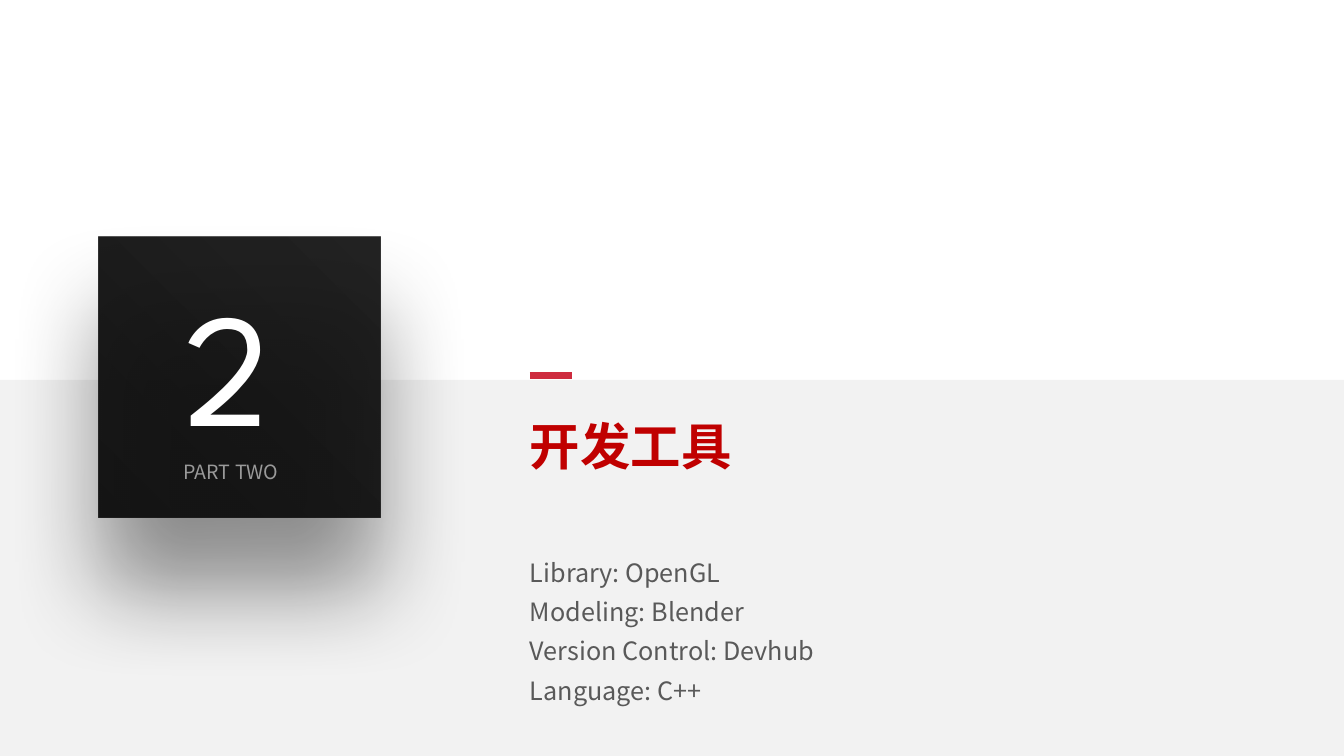
from lxml import etree
from pptx import Presentation, util as u
from pptx.dml.color import RGBColor
from pptx.enum import shapes, text
from pptx.oxml.ns import qn

COLORS = {
    "band": "F2F2F2",
    "title": "C00000",
    "body": "595959",
    "tile": "111111",
    "accent": "CE2B3E",
    "white": "FFFFFF",
    "shadow": "000000",
}
SANS = "Noto Sans CJK SC"
DISPLAY = "League Spartan"
WIDTH, HEIGHT = 1344, 756
EMU_PER_PX = 914400 / 100.8


def px(length):
    return u.Emu(round(length * EMU_PER_PX))


def rgb(name):
    return RGBColor.from_string(COLORS[name])


def set_alpha(parent, percent):
    """Give the first RGB colour below parent an opacity."""
    color = next(parent.iter(qn("a:srgbClr")))
    etree.SubElement(color, qn("a:alpha"), val=str(percent * 1000))


def add_text(slide, box, lines, *, size, color, font=SANS, bold=False,
             align=text.PP_ALIGN.LEFT, spacing=None, wrap=True, alpha=None):
    frame = slide.shapes.add_textbox(*map(px, box)).text_frame
    frame.word_wrap = wrap
    frame.auto_size = text.MSO_AUTO_SIZE.SHAPE_TO_FIT_TEXT
    for index, line in enumerate(lines):
        paragraph = frame.paragraphs[0] if index == 0 else frame.add_paragraph()
        paragraph.alignment = align
        paragraph.line_spacing = spacing
        run = paragraph.add_run()
        run.text = line
        run.font.size = u.Pt(size)
        run.font.bold = bold
        run.font.name = font
        run.font.color.rgb = rgb(color)
        properties = run.font._element
        etree.SubElement(properties, qn("a:ea"), typeface=font)
        if alpha is not None:
            set_alpha(properties, alpha)


def add_rect(slide, box):
    rect = slide.shapes.add_shape(shapes.MSO_SHAPE.RECTANGLE, *map(px, box))
    rect.shadow.inherit = False
    rect.line.fill.background()
    return rect


def add_band(slide, box):
    band = add_rect(slide, box)
    band.fill.solid()
    band.fill.fore_color.rgb = rgb("band")


def add_heading(slide, box):
    left, top, width, _ = box
    # Accent dash on the edge of the band
    dash = slide.shapes.add_connector(
        shapes.MSO_CONNECTOR.STRAIGHT,
        px(left + 10), px(top), px(left + 52), px(top))
    dash.line.color.rgb = rgb("accent")
    dash.line.width = u.Pt(5)
    etree.SubElement(dash._element.spPr, qn("a:effectLst"))
    # Title and tool list
    add_text(slide, (left, top + 16, 224, 82), ["开发工具"],
             size=36, color="title", bold=True, spacing=1.3, wrap=False)
    tools = ["Library: OpenGL", "Modeling: Blender",
             "Version Control: Devhub", "Language: C++"]
    add_text(slide, (left, top + 167, width, 165), tools,
             size=18, color="body", spacing=1.3)


def add_number_tile(slide, box):
    left, top, _, _ = box
    tile = add_rect(slide, box)
    # Translucent dark gradient
    tile.fill.gradient()
    tile.fill.gradient_angle = 45
    for stop, position, alpha in zip(tile.fill.gradient_stops, (0, 0.98), (97, 92)):
        stop.position = position
        stop.color.rgb = rgb("tile")
        set_alpha(stop._gs, alpha)
    # Soft shadow falling straight down
    effects = tile._element.spPr.find(qn("a:effectLst"))
    shadow = etree.SubElement(
        effects, qn("a:outerShdw"), blurRad=str(u.Pt(67)), dist=str(u.Pt(52)),
        dir=str(90 * 60000), algn="t", rotWithShape="0")
    etree.SubElement(shadow, qn("a:srgbClr"), val=COLORS["shadow"])
    set_alpha(shadow, 43)
    # Caption and section number
    add_text(slide, (left + 55, top + 218, 154, 34), ["PART TWO"], size=14,
             color="white", align=text.PP_ALIGN.CENTER, alpha=56)
    add_text(slide, (left + 19, top + 24, 220, 206), ["2"], size=115,
             color="white", font=DISPLAY, align=text.PP_ALIGN.CENTER)


def main():
    deck = Presentation()
    deck.slide_width, deck.slide_height = px(WIDTH), px(HEIGHT)
    slide = deck.slides.add_slide(deck.slide_layouts[6])
    add_band(slide, (0, 380, WIDTH, HEIGHT - 380))
    add_heading(slide, (520, 376, 628, 332))
    add_number_tile(slide, (99, 237, 281, 281))
    deck.save("out.pptx")


if __name__ == "__main__":
    main()
